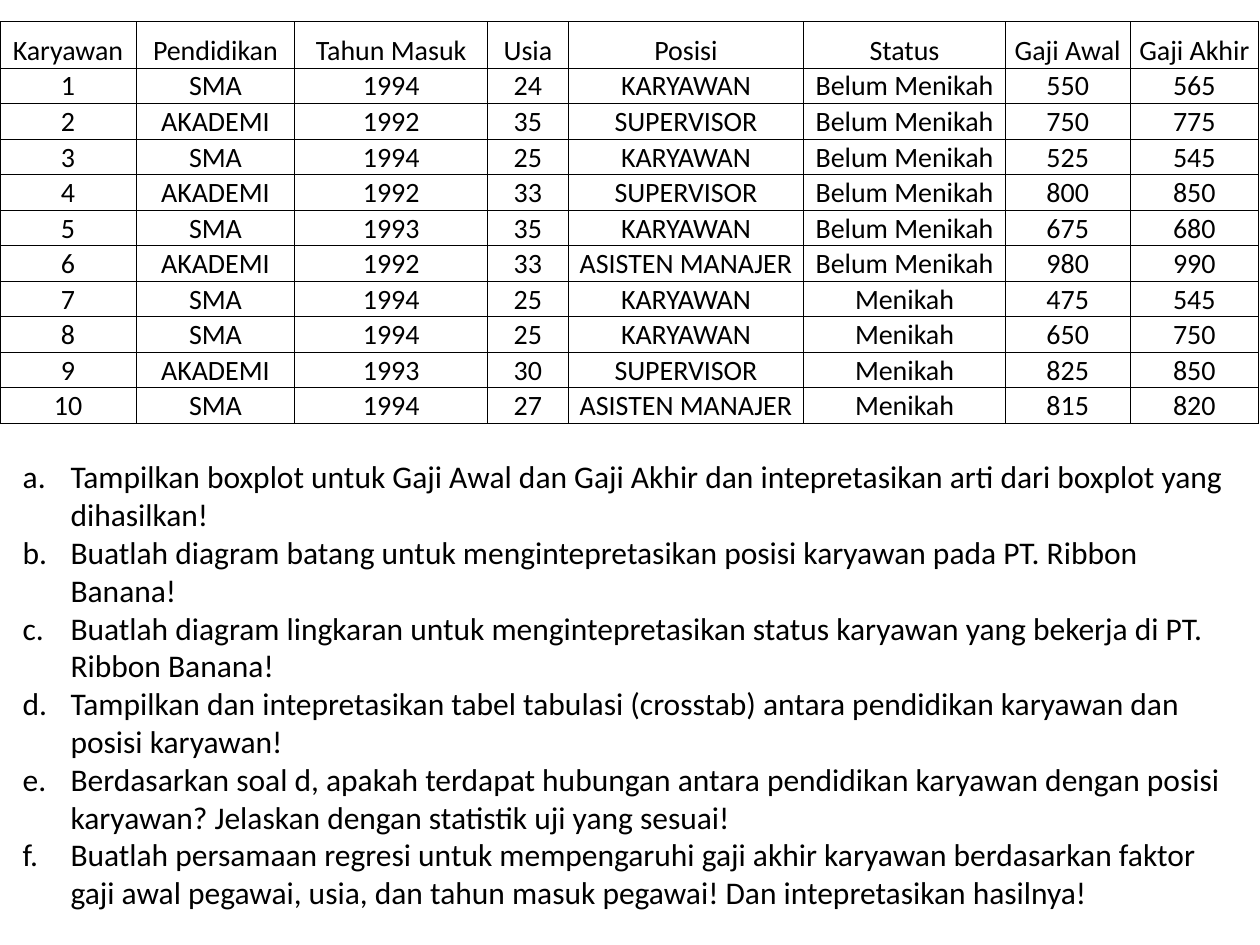
from lxml import etree
from pptx import Presentation
from pptx.dml.color import RGBColor
from pptx.enum.text import MSO_ANCHOR, MSO_AUTO_SIZE, PP_ALIGN
from pptx.oxml.ns import qn
from pptx.util import Inches, Pt

BLACK = RGBColor(0, 0, 0)
FONT = "Calibri"
BOTTOM = MSO_ANCHOR.BOTTOM
TOP = MSO_ANCHOR.TOP
CENTER = PP_ALIGN.CENTER
LEFT = PP_ALIGN.LEFT
NO_FIT = MSO_AUTO_SIZE.NONE

HEAD = ("Karyawan", "Pendidikan", "Tahun Masuk", "Usia", "Posisi",
        "Status", "Gaji Awal", "Gaji Akhir")
STAFF = [
    (1, "SMA", 1994, 24, "KARYAWAN", "Belum Menikah", 550, 565),
    (2, "AKADEMI", 1992, 35, "SUPERVISOR", "Belum Menikah", 750, 775),
    (3, "SMA", 1994, 25, "KARYAWAN", "Belum Menikah", 525, 545),
    (4, "AKADEMI", 1992, 33, "SUPERVISOR", "Belum Menikah", 800, 850),
    (5, "SMA", 1993, 35, "KARYAWAN", "Belum Menikah", 675, 680),
    (6, "AKADEMI", 1992, 33, "ASISTEN MANAJER", "Belum Menikah", 980, 990),
    (7, "SMA", 1994, 25, "KARYAWAN", "Menikah", 475, 545),
    (8, "SMA", 1994, 25, "KARYAWAN", "Menikah", 650, 750),
    (9, "AKADEMI", 1993, 30, "SUPERVISOR", "Menikah", 825, 850),
    (10, "SMA", 1994, 27, "ASISTEN MANAJER", "Menikah", 815, 820),
]
TASKS = [
    "Tampilkan boxplot untuk Gaji Awal dan Gaji Akhir dan intepretasikan arti "
    "dari boxplot yang dihasilkan!",
    "Buatlah diagram batang untuk mengintepretasikan posisi karyawan pada "
    "PT. Ribbon Banana!",
    "Buatlah diagram lingkaran untuk mengintepretasikan status karyawan yang "
    "bekerja di PT. Ribbon Banana!",
    "Tampilkan dan intepretasikan tabel tabulasi (crosstab) antara pendidikan "
    "karyawan dan posisi karyawan!",
    "Berdasarkan soal d, apakah terdapat hubungan antara pendidikan karyawan "
    "dengan posisi karyawan? Jelaskan dengan statistik uji yang sesuai!",
    "Buatlah persamaan regresi untuk mempengaruhi gaji akhir karyawan "
    "berdasarkan faktor gaji awal pegawai, usia, dan tahun masuk pegawai! "
    "Dan intepretasikan hasilnya!",
]
WIDTHS = (1.08, 1.26, 1.53, 0.64, 1.87, 1.6, 0.99, 1.02)
HEAD_H, ROW_H = 0.37, 0.28
INDENT = Inches(0.38)


def write(para, text, size, align):
    para.alignment = align
    para.space_before = para.space_after = Pt(0)
    run = para.add_run()
    run.text = text
    run.font.size = Pt(size)
    run.font.name = FONT
    run.font.color.rgb = BLACK


def border(cell):
    props = cell._tc.get_or_add_tcPr()
    for side in ("a:lnL", "a:lnR", "a:lnT", "a:lnB"):
        line = etree.SubElement(props, qn(side), w=str(Pt(0.5)))
        fill = etree.SubElement(line, qn("a:solidFill"))
        etree.SubElement(fill, qn("a:srgbClr"), val=str(BLACK))


def letter(para):
    """Number a paragraph a., b., c. with a hanging indent."""
    props = para._p.get_or_add_pPr()
    props.set("marL", str(INDENT))
    props.set("indent", str(-INDENT))
    etree.SubElement(props, qn("a:buFont"), typeface="+mj-lt")
    etree.SubElement(props, qn("a:buAutoNum"), type="alphaLcPeriod")


def add_staff(slide):
    rows = [HEAD] + STAFF
    height = HEAD_H + ROW_H * len(STAFF)
    table = slide.shapes.add_table(
        len(rows), len(HEAD), Inches(0), Inches(0.17),
        Inches(10), Inches(height)).table
    table.first_row = table.horz_banding = False
    for col, width in zip(table.columns, WIDTHS):
        col.width = Inches(width)
    for r, values in enumerate(rows):
        table.rows[r].height = Inches(ROW_H if r else HEAD_H)
        for c, value in enumerate(values):
            cell = table.cell(r, c)
            cell.margin_left = cell.margin_right = Inches(0.01)
            cell.margin_top = Inches(0.01)
            cell.margin_bottom = 0
            cell.vertical_anchor = BOTTOM
            border(cell)
            cell.fill.background()
            write(cell.text_frame.paragraphs[0], str(value),
                  size=16, align=CENTER)


def add_tasks(body):
    body.left, body.top = Inches(0.08), Inches(3.58)
    body.width, body.height = Inches(9.75), Inches(3.74)
    frame = body.text_frame
    frame.word_wrap = True
    frame.auto_size = NO_FIT
    frame.vertical_anchor = TOP
    for i, task in enumerate(TASKS):
        para = frame.add_paragraph() if i else frame.paragraphs[0]
        write(para, task, size=18, align=LEFT)
        letter(para)


def main():
    deck = Presentation()
    deck.slide_width, deck.slide_height = Inches(10), Inches(7.5)
    slide = deck.slides.add_slide(deck.slide_layouts[1])
    title = slide.shapes.title._element
    title.getparent().remove(title)
    add_staff(slide)
    add_tasks(slide.placeholders[1])
    deck.save("out.pptx")


if __name__ == "__main__":
    main()
